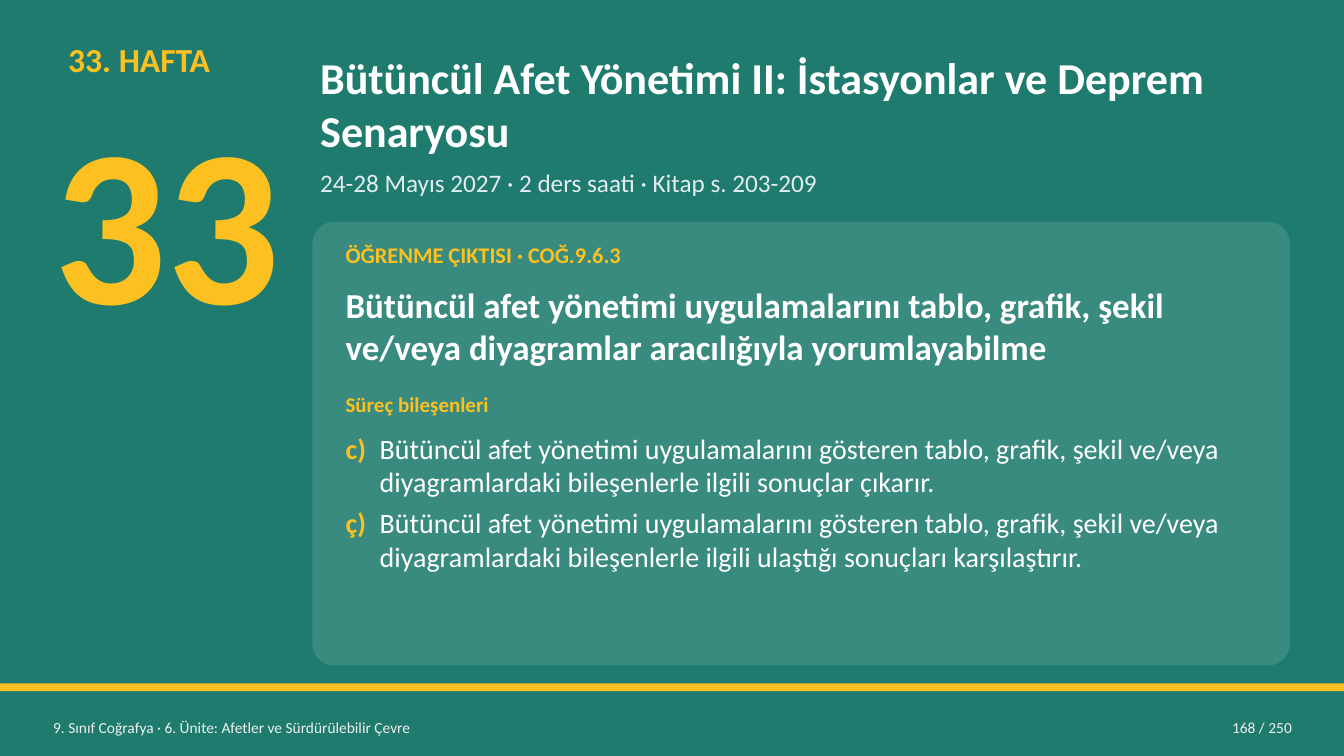
from lxml.etree import SubElement as Sub
from pptx import Presentation
from pptx.dml.color import RGBColor as RGB
from pptx.enum.shapes import MSO_SHAPE as Shape
from pptx.enum.text import MSO_ANCHOR as Anchor, MSO_AUTO_SIZE as Fit, PP_ALIGN as Align
from pptx.oxml.ns import qn
from pptx.util import Cm, Pt

GREEN = RGB(0x1E, 0x7B, 0x6E)
GOLD = RGB(0xFC, 0xC0, 0x21)
WHITE = RGB(0xFF, 0xFF, 0xFF)
PALE = RGB(0xE3, 0xEC, 0xF5)
GREY = RGB(0xF0, 0xF0, 0xF0)

WIDE, HIGH = 33.87, 19.05
STEPS = [
    ("c)", "Bütüncül afet yönetimi uygulamalarını gösteren tablo, grafik, şekil ve/veya "
           "diyagramlardaki bileşenlerle ilgili sonuçlar çıkarır."),
    ("ç)", "Bütüncül afet yönetimi uygulamalarını gösteren tablo, grafik, şekil ve/veya "
           "diyagramlardaki bileşenlerle ilgili ulaştığı sonuçları karşılaştırır."),
]


def style(font, size, color, bold=False):
    for key, val in {"name": "Calibri", "size": Pt(size), "bold": bold}.items():
        setattr(font, key, val)
    font.color.rgb = color


def frame(shape, anchor=Anchor.TOP, pad=0.1):
    text = shape.text_frame
    look = {"word_wrap": True, "auto_size": Fit.NONE, "vertical_anchor": anchor,
            "margin_left": Cm(0.2), "margin_right": Cm(0.2),
            "margin_top": Cm(pad), "margin_bottom": Cm(pad)}
    for key, val in look.items():
        setattr(text, key, val)
    return text


def write(text, words, size, color, bold=False, align=Align.LEFT):
    para = text.paragraphs[0]
    para.alignment = align
    run = para.add_run()
    run.text = words
    style(run.font, size, color, bold)


def label(slide, box, words, size, color, bold=False, align=Align.LEFT, **look):
    shape = slide.shapes.add_textbox(*map(Cm, box))
    write(frame(shape, **look), words, size, color, bold, align)


def block(slide, kind, box, color):
    shape = slide.shapes.add_shape(kind, *map(Cm, box))
    shape.shadow.inherit = False
    shape.fill.solid()
    shape.fill.fore_color.rgb = color
    shape.line.fill.background()
    return shape


def week(slide, x, y, w):
    # Week name above its large number
    label(slide, (x + 0.38, y, w, 1.4), "33. HAFTA", 24, GOLD, True)
    label(slide, (x, y + 1.14, w, 6.99), "33", 160, GOLD, True, pad=0)


def head(slide, x, y, w):
    # Title and date line
    title = slide.shapes.title
    title.left, title.top, title.width, title.height = map(Cm, (x, y, w, 2.92))
    write(frame(title, Anchor.MIDDLE),
          "Bütüncül Afet Yönetimi II: İstasyonlar ve Deprem Senaryosu", 31.5, WHITE, True)
    label(slide, (x, y + 2.97, w, 1.14),
          "24-28 Mayıs 2027 · 2 ders saati · Kitap s. 203-209", 18, PALE)


def steps(slide, box):
    # Lettered list with a hanging indent
    text = frame(slide.shapes.add_textbox(*map(Cm, box)))
    for num, (mark, words) in enumerate(STEPS):
        para = text.add_paragraph() if num else text.paragraphs[0]
        props = para._p.get_or_add_pPr()
        props.set("marL", str(Cm(0.86)))
        props.set("indent", str(-Cm(0.86)))
        para.space_after = Pt(5 if num == 0 else 0)
        for part, color, bold in ((mark + "\t", GOLD, True), (words, WHITE, False)):
            run = para.add_run()
            run.text = part
            style(run.font, 20, color, bold)


def card(slide, x, y, w, h):
    # Translucent panel
    panel = block(slide, Shape.ROUNDED_RECTANGLE, (x, y, w, h), WHITE)
    panel.adjustments[0] = 0.05
    tint = panel._element.spPr.find(qn("a:solidFill"))[0]
    Sub(tint, qn("a:alpha")).set("val", "12000")

    # Learning outcome and its parts
    left, span = x + 0.64, w - 1.27
    label(slide, (left, y + 0.38, span, 1.02), "ÖĞRENME ÇIKTISI · COĞ.9.6.3", 16, GOLD, True)
    label(slide, (left, y + 1.45, span, 2.41),
          "Bütüncül afet yönetimi uygulamalarını tablo, grafik, şekil ve/veya "
          "diyagramlar aracılığıyla yorumlayabilme", 25, WHITE, True)
    label(slide, (left, y + 4.17, span, 0.97), "Süreç bileşenleri", 15, GOLD, True)
    steps(slide, (left, y + 5.18, span, h - 5.52))


def foot(slide, x, y, w):
    # Unit name and page count
    label(slide, (x, y, 19.3, 0.91), "9. Sınıf Coğrafya · 6. Ünite: Afetler ve Sürdürülebilir Çevre",
          11, GREY, anchor=Anchor.MIDDLE)
    label(slide, (x + w - 4.06, y, 4.06, 0.91), "168 / 250", 11, GREY,
          align=Align.RIGHT, anchor=Anchor.MIDDLE)


def main():
    deck = Presentation()
    deck.slide_width, deck.slide_height = Cm(WIDE), Cm(HIGH)
    slide = deck.slides.add_slide(deck.slide_layouts[5])
    back = slide.background.fill
    back.solid()
    back.fore_color.rgb = GREEN

    block(slide, Shape.RECTANGLE, (0, 17.22, WIDE, 0.2), GOLD)
    week(slide, 1.14, 0.89, 6.6)
    head(slide, 7.87, 1.14, 24.64)
    card(slide, 7.87, 5.59, 24.64, 11.18)
    foot(slide, 1.14, 17.88, 31.62)
    deck.save("out.pptx")


if __name__ == "__main__":
    main()
